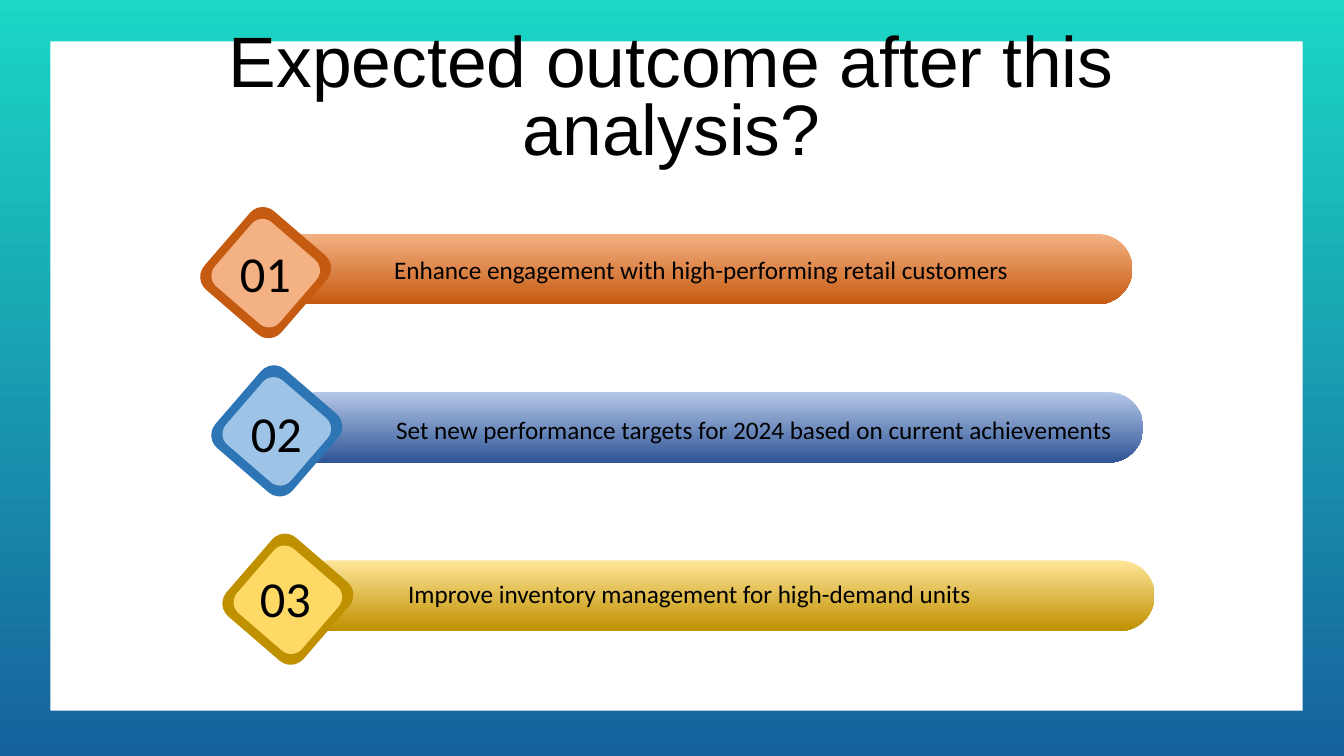
"""Build the expected-outcomes slide with three numbered bars."""
from dataclasses import dataclass

from pptx import Presentation
from pptx.dml.color import RGBColor
from pptx.enum.shapes import MSO_SHAPE
from pptx.enum.text import MSO_ANCHOR, MSO_AUTO_SIZE, PP_ALIGN
from pptx.util import Inches, Pt


@dataclass(frozen=True)
class Theme:
    backdrop: tuple = ("1BD7C5", "16629C")
    panel: str = "FFFFFF"
    ink: str = "000000"
    heading: str = "Arial"
    body: str = "Calibri"
    title_size: int = 51
    number_size: int = 36
    label_size: int = 18


THEME = Theme()
TITLE = "Expected outcome after this analysis?"
OUTCOMES = [
    dict(number="01", text="Enhance engagement with high-performing retail customers",
         top=2.32, bar=("F4B183", "C55A11"), badge=("C55A11", "F4B183"),
         number_at=(2.28, 2.35), label_at=None),
    dict(number="02", text="Set new performance targets for 2024 based on current achievements",
         top=3.89, bar=("B4C7E7", "2F5597"), badge=("2E75B6", "9DC3E6"),
         number_at=(2.39, 3.94), label_at=(3.83, 4.06, 7.67, 0.4)),
    dict(number="03", text="Improve inventory management for high-demand units",
         top=5.56, bar=("FFE699", "BF9000"), badge=("BF9000", "FFD966"),
         number_at=(2.48, 5.58), label_at=(3.95, 5.69, 6.19, 0.4)),
]
BAR_LEFT, BAR_STEP, BAR_SIZE = 2.68, 0.11, (8.55, 0.7)
BADGE_PARTS = [(-0.55, -0.13, 1.01, 1.03), (-0.47, -0.03, 0.85, 0.84)]
BADGE_TURN = 40.8
NUMBER_SIZE = (0.77, 0.71)


def paint(fill, colors):
    if isinstance(colors, str):
        fill.solid()
        fill.fore_color.rgb = RGBColor.from_string(colors)
        return
    fill.gradient()
    fill.gradient_angle = 270
    for stop, color in zip(fill.gradient_stops, colors):
        stop.color.rgb = RGBColor.from_string(color)


def add_block(s, kind, box, colors, turn=0, adj=None):
    sp = s.shapes.add_shape(kind, *map(Inches, box))
    sp.shadow.inherit = False
    sp.line.fill.background()
    sp.rotation = turn
    if adj is not None:
        sp.adjustments[0] = adj
    paint(sp.fill, colors)
    return sp


def write(sp, text, size, font=THEME.body, align=PP_ALIGN.LEFT,
          anchor=MSO_ANCHOR.TOP, spacing=None):
    tf = sp.text_frame
    tf.word_wrap = True
    tf.auto_size = MSO_AUTO_SIZE.NONE
    tf.vertical_anchor = anchor
    p = tf.paragraphs[0]
    p.alignment = align
    p.line_spacing = spacing
    r = p.add_run()
    r.text = text
    r.font.size = Pt(size)
    r.font.name = font
    r.font.color.rgb = RGBColor.from_string(THEME.ink)


def add_outcome(s, index, item):
    left, top = BAR_LEFT + index * BAR_STEP, item["top"]
    bar = add_block(s, MSO_SHAPE.ROUNDED_RECTANGLE, (left, top, *BAR_SIZE), item["bar"], adj=0.5)
    for (dx, dy, w, h), color in zip(BADGE_PARTS, item["badge"]):
        add_block(s, MSO_SHAPE.ROUNDED_RECTANGLE, (left + dx, top + dy, w, h), color,
                  turn=BADGE_TURN)
    number = s.shapes.add_textbox(*map(Inches, item["number_at"] + NUMBER_SIZE))
    write(number, item["number"], THEME.number_size)
    if item["label_at"]:
        label = s.shapes.add_textbox(*map(Inches, item["label_at"]))
        write(label, item["text"], THEME.label_size)
    else:
        write(bar, item["text"], THEME.label_size, align=PP_ALIGN.CENTER,
              anchor=MSO_ANCHOR.MIDDLE)


def main():
    prs = Presentation()
    prs.slide_width, prs.slide_height = Inches(13.33), Inches(7.5)
    s = prs.slides.add_slide(prs.slide_layouts[5])
    paint(s.background.fill, THEME.backdrop)
    panel = add_block(s, MSO_SHAPE.RECTANGLE, (0.5, 0.41, 12.42, 6.64), THEME.panel)
    title = s.shapes.title
    title.left, title.top, title.width, title.height = map(Inches, (1, 0.67, 11.32, 1.06))
    write(title, TITLE, THEME.title_size, font=THEME.heading, align=PP_ALIGN.CENTER,
          anchor=MSO_ANCHOR.BOTTOM, spacing=0.8)
    panel._element.addnext(title._element)
    for index, item in enumerate(OUTCOMES):
        add_outcome(s, index, item)
    prs.save("out.pptx")


if __name__ == "__main__":
    main()
